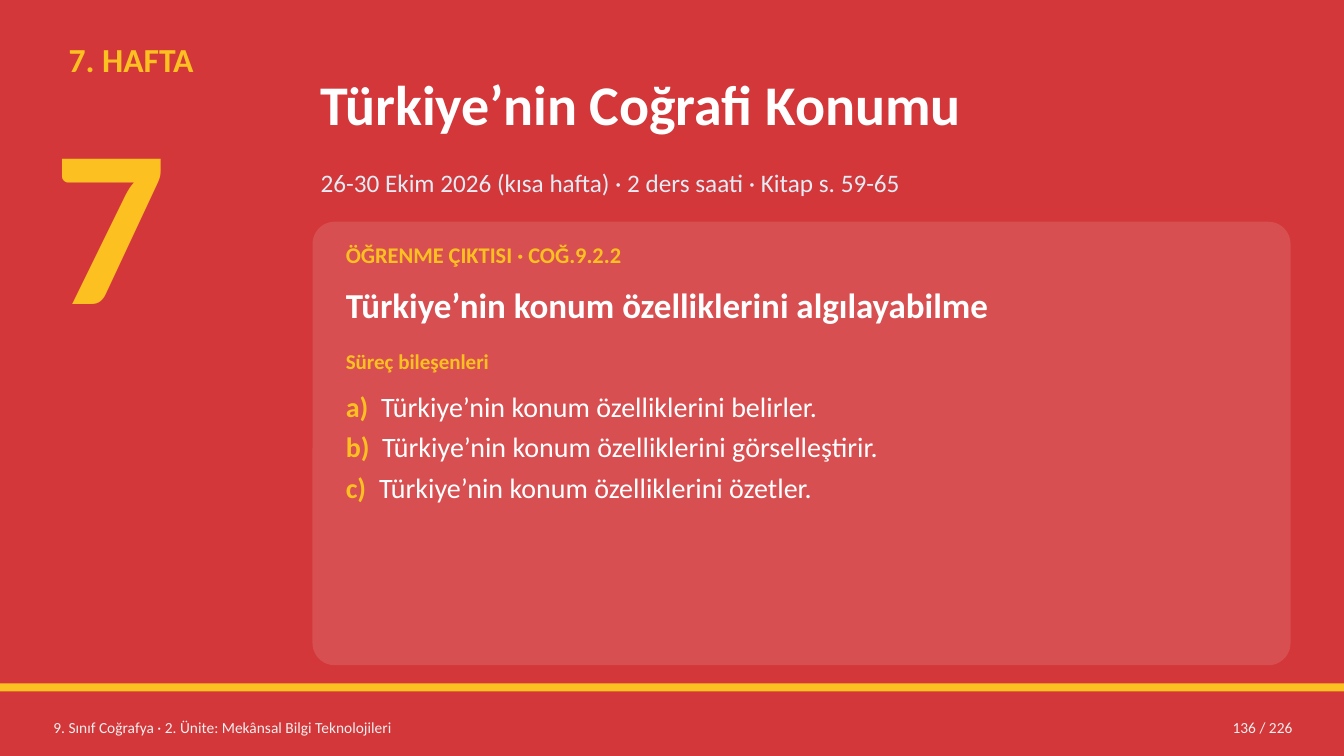
import pptx
import pptx.dml.color
import pptx.enum.shapes
import pptx.enum.text
import pptx.oxml
import pptx.util

PX = 9144  # EMU per px, 100 px to the inch
WIDTH, HEIGHT = 1333, 750
COLORS = {
    "red": "D3373A",
    "yellow": "FCC021",
    "white": "FFFFFF",
    "subtitle": "E3ECF5",
    "footer": "F0F0F0",
}
SHAPES = pptx.enum.shapes.MSO_SHAPE
ANCHOR = pptx.enum.text.MSO_ANCHOR
ALIGN = pptx.enum.text.PP_ALIGN

presentation = pptx.Presentation()
presentation.slide_width = WIDTH * PX
presentation.slide_height = HEIGHT * PX
slide = presentation.slides.add_slide(presentation.slide_layouts[6])


def add_run(paragraph, text, size, color, bold):
    run = paragraph.add_run()
    run.text = text
    formats = {"name": "Calibri", "size": pptx.util.Pt(size), "bold": bold}
    for name, value in formats.items():
        setattr(run.font, name, value)
    run.font.color.rgb = pptx.dml.color.RGBColor.from_string(COLORS[color])


def add_text_frame(box, anchor=ANCHOR.TOP, inset=4):
    text_frame = slide.shapes.add_textbox(*(length * PX for length in box)).text_frame
    formats = {
        "word_wrap": True,
        "vertical_anchor": anchor,
        "margin_left": 8 * PX,
        "margin_right": 8 * PX,
        "margin_top": inset * PX,
        "margin_bottom": inset * PX,
    }
    for name, value in formats.items():
        setattr(text_frame, name, value)
    return text_frame


# Background, footer stripe and translucent card
panels = [
    (SHAPES.RECTANGLE, (0, 0, WIDTH, HEIGHT), "red", 100),
    (SHAPES.RECTANGLE, (0, 678, WIDTH, 8), "yellow", 100),
    (SHAPES.ROUNDED_RECTANGLE, (310, 220, 970, 440), "white", 12),
]
for kind, box, color, opacity in panels:
    shape = slide.shapes.add_shape(kind, *(length * PX for length in box))
    shape.shadow.inherit = False
    shape.line.fill.background()
    shape.fill.solid()
    shape.fill.fore_color.rgb = pptx.dml.color.RGBColor.from_string(COLORS[color])
    if kind == SHAPES.ROUNDED_RECTANGLE:
        shape.adjustments[0] = 0.05
    if opacity < 100:
        color_element = shape.fill._xPr.find(".//" + pptx.oxml.ns.qn("a:srgbClr"))
        alpha = pptx.oxml.xmlchemy.OxmlElement("a:alpha")
        alpha.set("val", str(opacity * 1000))
        color_element.append(alpha)

# Single-line texts: text, box, size, color, bold, anchor, alignment, vertical inset
TOP, MIDDLE = ANCHOR.TOP, ANCHOR.MIDDLE
LEFT, RIGHT = ALIGN.LEFT, ALIGN.RIGHT
lines = [
    ("7. HAFTA", (60, 35, 260, 55), 24, "yellow", True, TOP, LEFT, 4),
    ("7", (45, 80, 260, 275), 160, "yellow", True, TOP, LEFT, 0),
    ("Türkiye’nin Coğrafi Konumu", (310, 45, 970, 115), 40, "white", True, MIDDLE, LEFT, 4),
    ("26-30 Ekim 2026 (kısa hafta) · 2 ders saati · Kitap s. 59-65",
     (310, 162, 970, 45), 18, "subtitle", False, TOP, LEFT, 4),
    ("ÖĞRENME ÇIKTISI · COĞ.9.2.2", (335, 235, 920, 40), 16, "yellow", True, TOP, LEFT, 4),
    ("Türkiye’nin konum özelliklerini algılayabilme",
     (335, 277, 920, 53), 25, "white", True, TOP, LEFT, 4),
    ("Süreç bileşenleri", (335, 342, 920, 38), 15, "yellow", True, TOP, LEFT, 4),
    ("9. Sınıf Coğrafya · 2. Ünite: Mekânsal Bilgi Teknolojileri",
     (45, 704, 760, 36), 11, "footer", False, MIDDLE, LEFT, 4),
    ("136 / 226", (1130, 704, 160, 36), 11, "footer", False, MIDDLE, RIGHT, 4),
]
for text, box, size, color, bold, anchor, alignment, inset in lines:
    paragraph = add_text_frame(box, anchor, inset).paragraphs[0]
    paragraph.alignment = alignment
    add_run(paragraph, text, size, color, bold)

# Lettered process components with hanging indents
components = [
    ("a)", "Türkiye’nin konum özelliklerini belirler.", 35),
    ("b)", "Türkiye’nin konum özelliklerini görselleştirir.", 36),
    ("c)", "Türkiye’nin konum özelliklerini özetler.", 33),
]
text_frame = add_text_frame((335, 382, 920, 266))
for index, (letter, text, indent) in enumerate(components):
    paragraph = text_frame.add_paragraph() if index else text_frame.paragraphs[0]
    properties = paragraph._p.get_or_add_pPr()
    properties.set("marL", str(indent * PX))
    properties.set("indent", str(-indent * PX))
    if index < len(components) - 1:
        paragraph.space_after = pptx.util.Pt(5)
    add_run(paragraph, letter + "\t", 20, "yellow", True)
    add_run(paragraph, text, 20, "white", False)

presentation.save("out.pptx")
